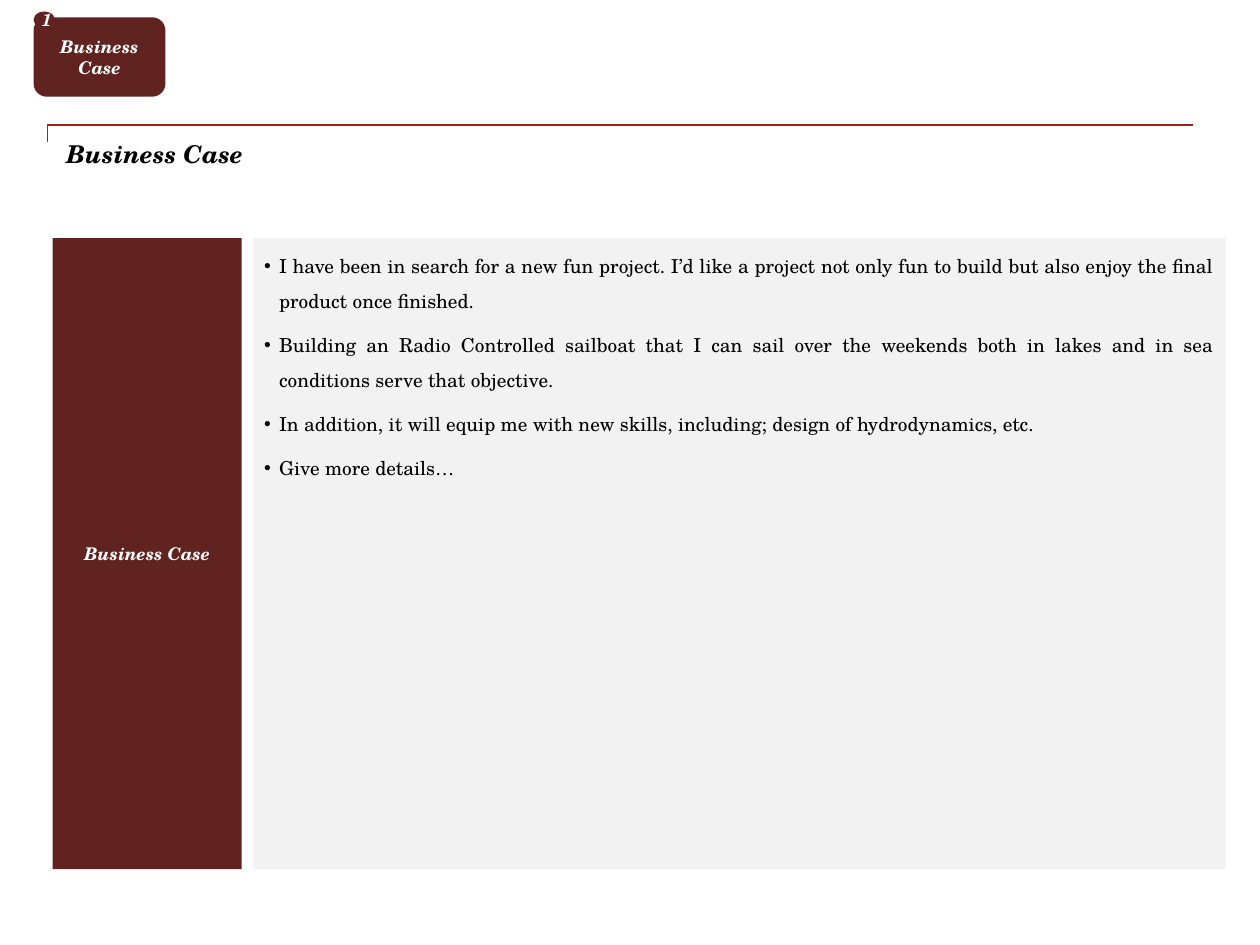
from dataclasses import dataclass

from lxml.etree import SubElement
from pptx import Presentation
from pptx.dml.color import RGBColor
from pptx.enum.shapes import MSO_CONNECTOR, MSO_SHAPE as SHAPE
from pptx.enum.text import MSO_ANCHOR as ANCHOR, MSO_AUTO_SIZE, PP_ALIGN as ALIGN
from pptx.oxml.ns import qn
from pptx.shapes.base import BaseShape
from pptx.slide import Slide
from pptx.text.text import TextFrame
from pptx.util import Pt

MAROON = RGBColor(0x60, 0x23, 0x20)
RED = RGBColor(0xA3, 0x20, 0x20)
PALE = RGBColor(0xF2, 0xF2, 0xF2)
WHITE = RGBColor(0xFF, 0xFF, 0xFF)
BLACK = RGBColor(0, 0, 0)
FONT = "TeX Gyre Schola"
TOPIC = "Business Case"
PANEL_TOP, PANEL_HEIGHT = 136, 360.7
BULLET_INDENT = 8.6

REASONS = [
    "I have been in search for a new fun project. I’d like a project not only "
    "fun to build but also enjoy the final product once finished.",
    "Building an Radio Controlled sailboat that I can sail over the weekends "
    "both in lakes and in sea conditions serve that objective.",
    "In addition, it will equip me with new skills, including; design of "
    "hydrodynamics, etc.",
    "Give more details…",
]


@dataclass(frozen=True)
class Area:
    left: float
    top: float
    width: float
    height: float


@dataclass(frozen=True)
class Label:
    text: str
    kind: SHAPE
    area: Area


LABELS = [
    Label(TOPIC, SHAPE.RECTANGLE, Area(30.1, PANEL_TOP, 108, PANEL_HEIGHT)),
    Label(TOPIC, SHAPE.ROUNDED_RECTANGLE, Area(19.2, 9.9, 75.4, 45.4)),
    Label("1", SHAPE.OVAL, Area(19.2, 6.6, 12.2, 9.4)),
]


def place(shape: BaseShape, area: Area) -> None:
    shape.left, shape.top = Pt(area.left), Pt(area.top)
    shape.width, shape.height = Pt(area.width), Pt(area.height)


def set_frame(frame: TextFrame, anchor: ANCHOR, side: float, edge: float) -> None:
    frame.word_wrap = True
    frame.auto_size = MSO_AUTO_SIZE.NONE
    frame.vertical_anchor = anchor
    frame.margin_left = frame.margin_right = Pt(side)
    frame.margin_top = frame.margin_bottom = Pt(edge)


def write(para, text: str, size: float, color: RGBColor, align: ALIGN,
          strong: bool = True) -> None:
    para.text = text
    para.alignment = align
    font = para.font
    font.name, font.size = FONT, Pt(size)
    font.bold = font.italic = strong
    font.color.rgb = color


def add_label(page: Slide, label: Label) -> None:
    area = label.area
    box = page.shapes.add_shape(label.kind, Pt(area.left), Pt(area.top),
                                Pt(area.width), Pt(area.height))
    box.shadow.inherit = False
    box.fill.solid()
    box.fill.fore_color.rgb = MAROON
    box.line.fill.background()
    set_frame(box.text_frame, ANCHOR.MIDDLE, 5.8, 2.9)
    write(box.text_frame.paragraphs[0], label.text, 10, WHITE, ALIGN.CENTER)


def add_title_rule(page: Slide) -> None:
    rule = page.shapes.add_connector(MSO_CONNECTOR.ELBOW, Pt(27.2), Pt(81),
                                     Pt(681.8), Pt(71.4))
    rule.line.color.rgb = RED
    rule.line.width = Pt(0.75)
    properties = rule._element.spPr
    SubElement(properties, qn("a:effectLst"))
    # Turn at the very start: a short tick up, then the long rule
    guides = properties.find(qn("a:prstGeom")).get_or_add_avLst()
    SubElement(guides, qn("a:gd"), name="adj1", fmla="val 0")


def add_bullet(para) -> None:
    properties = para._p.get_or_add_pPr()
    properties.set("marL", str(Pt(BULLET_INDENT)))
    properties.set("indent", str(-Pt(BULLET_INDENT)))
    SubElement(properties, qn("a:buFont"), typeface="Arial")
    SubElement(properties, qn("a:buChar"), char="•")


def fill_title(title: BaseShape) -> None:
    place(title, Area(38, 79.2, 644.4, 63.4))
    set_frame(title.text_frame, ANCHOR.TOP, 0, 0)
    write(title.text_frame.paragraphs[0], TOPIC, 14, BLACK, ALIGN.LEFT)


def fill_body(body: BaseShape) -> None:
    place(body, Area(144.4, PANEL_TOP, 556, PANEL_HEIGHT))
    body.fill.solid()
    body.fill.fore_color.rgb = PALE
    frame = body.text_frame
    set_frame(frame, ANCHOR.TOP, 6.5, 2.9)
    for index, reason in enumerate(REASONS):
        para = frame.add_paragraph() if index else frame.paragraphs[0]
        write(para, reason, 11, BLACK, ALIGN.JUSTIFY, strong=False)
        para.line_spacing = 1.5
        para.space_before = Pt(5.4)
        add_bullet(para)


def main() -> None:
    deck = Presentation()
    deck.slide_width, deck.slide_height = Pt(720), Pt(540)
    page = deck.slides.add_slide(deck.slide_layouts[1])

    # Title and list
    fill_title(page.shapes.title)
    fill_body(page.placeholders[1])

    # Rule above the title
    add_title_rule(page)

    # Side panel, section chip and its number
    for label in LABELS:
        add_label(page, label)

    deck.save("out.pptx")


if __name__ == "__main__":
    main()
